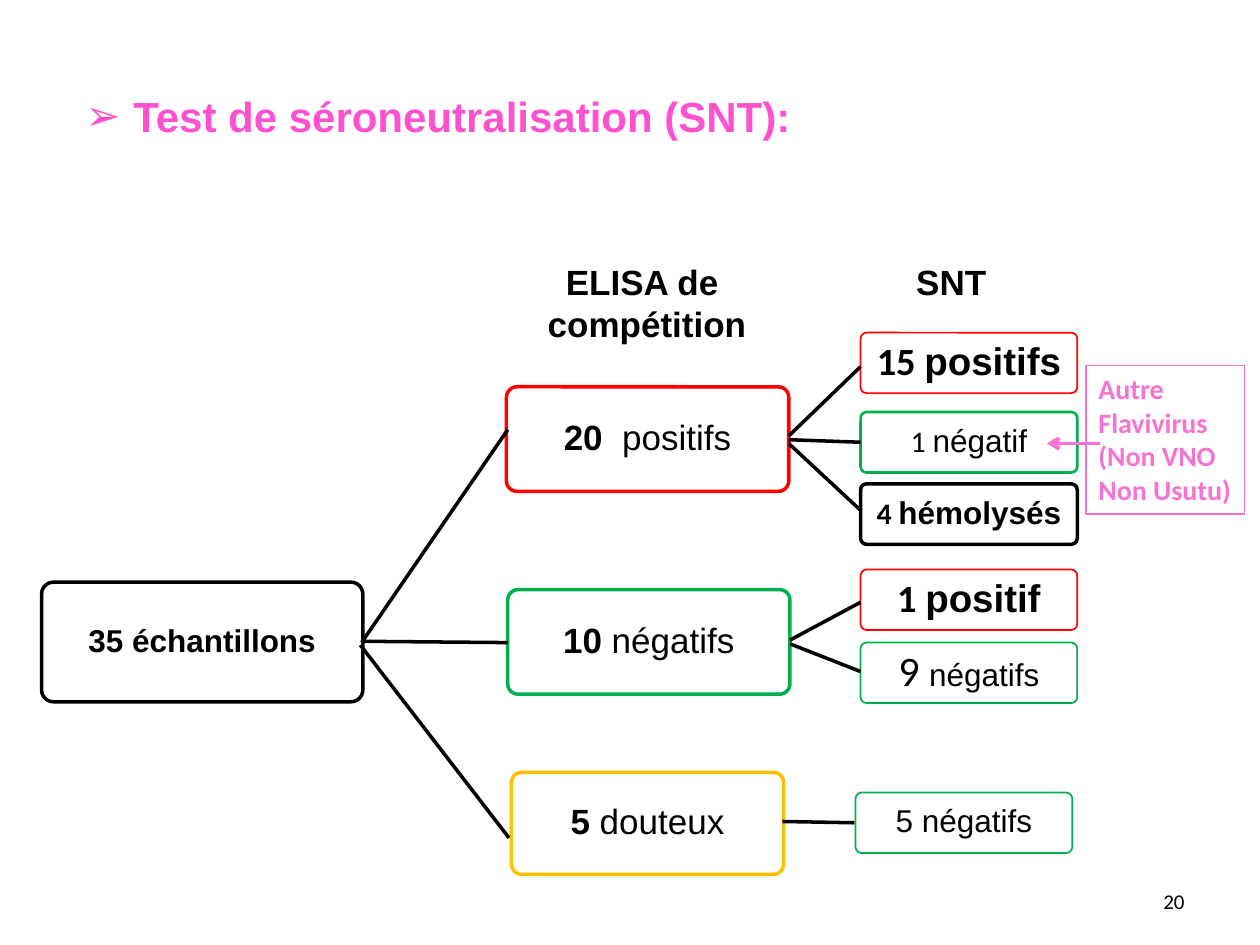
from lxml import etree
from pptx import Presentation
from pptx import util as u
from pptx.dml import color
from pptx.enum import shapes, text
from pptx.oxml import ns

HUES = {"ink": "000000", "paper": "FFFFFF", "red": "FF0000", "green": "00B050",
        "gold": "FFC000", "title": "FD51D0", "pink": "F872D2"}
MID, LEFT, RIGHT = text.PP_ALIGN.CENTER, text.PP_ALIGN.LEFT, text.PP_ALIGN.RIGHT


class Deck:
    """Draws the styled elements of the current slide."""

    def __init__(self):
        self.prs = Presentation()
        self.prs.slide_width, self.prs.slide_height = u.Inches(10), u.Inches(7.5)
        self.slide = self.prs.slides.add_slide(self.prs.slide_layouts[6])

    def hue(self, name):
        return color.RGBColor.from_string(HUES[name])

    def words(self, frame, lines, align=MID, hue="ink", after=0, lead=None):
        for i, runs in enumerate(lines):
            para = frame.add_paragraph() if i else frame.paragraphs[0]
            para.alignment, para.space_after = align, u.Pt(after)
            if lead:
                para.line_spacing = lead
            for part, size, bold, face in runs:
                run = para.add_run()
                run.text = part
                font = run.font
                font.size, font.bold, font.name = u.Pt(size), bold, face
                font.color.rgb = self.hue(hue)

    def label(self, spot, lines, wrap=True, anchor=text.MSO_ANCHOR.TOP, **style):
        box = self.slide.shapes.add_textbox(*map(u.Inches, spot))
        frame = box.text_frame
        frame.word_wrap, frame.vertical_anchor = wrap, anchor
        self.words(frame, lines, **style)
        return frame

    def bullet(self, para, mark, indent):
        props = para._p.get_or_add_pPr()
        props.set("marL", str(u.Inches(indent)))
        props.set("indent", str(-u.Inches(indent)))
        etree.SubElement(props, ns.qn("a:buFont")).set("typeface", "Arial")
        etree.SubElement(props, ns.qn("a:buChar")).set("char", mark)

    def box(self, kind, spot, hue, width, fill=None):
        box = self.slide.shapes.add_shape(kind, *map(u.Inches, spot))
        box.shadow.inherit = False
        if fill:
            box.fill.solid()
            box.fill.fore_color.rgb = self.hue(fill)
        else:
            box.fill.background()
        box.line.color.rgb, box.line.width = self.hue(hue), u.Pt(width)
        box.text_frame.word_wrap = True
        return box

    def node(self, spot, hue, width, runs, pad=0.03, after=8, fill=None):
        box = self.box(shapes.MSO_SHAPE.ROUNDED_RECTANGLE, spot, hue, width, fill)
        box.adjustments[0] = 0.1
        frame = box.text_frame
        frame.margin_left = frame.margin_right = u.Inches(pad)
        frame.margin_top = frame.margin_bottom = u.Inches(pad)
        frame.vertical_anchor = text.MSO_ANCHOR.MIDDLE
        self.words(frame, [runs], after=after, lead=0.9)

    def note(self, spot, hue, lines):
        box = self.box(shapes.MSO_SHAPE.RECTANGLE, spot, hue, 0.75)
        box.text_frame.vertical_anchor = text.MSO_ANCHOR.TOP
        self.words(box.text_frame, lines, align=LEFT, hue=hue)

    def link(self, ends, hue="ink", width=2, head=False):
        line = self.slide.shapes.add_connector(
            shapes.MSO_CONNECTOR.STRAIGHT, *map(u.Inches, ends))
        line.line.color.rgb, line.line.width = self.hue(hue), u.Pt(width)
        if head:
            tail = etree.SubElement(line.line._get_or_add_ln(), ns.qn("a:tailEnd"))
            tail.set("type", "arrow")
        etree.SubElement(line._element.spPr, ns.qn("a:effectLst"))


def main():
    deck = Deck()
    title = deck.label((0.58, 0.67, 5.96, 0.5),
                       [[("Test de séroneutralisation (SNT):", 24, True, "Arial")]],
                       wrap=False, align=LEFT, hue="title", after=6)
    deck.bullet(title.paragraphs[0], "➢", 0.38)

    deck.node((0.33, 4.62, 2.55, 0.95), "ink", 2,
              [("35 échantillons", 18, True, "Arial")], pad=0.04, fill="paper")
    groups = [((4.02, 3.07, 2.24, 0.83), "red", "20", "  positifs"),
              ((4.03, 4.68, 2.24, 0.83), "green", "10", " négatifs"),
              ((4.06, 6.13, 2.16, 0.81), "gold", "5", " douteux")]
    for spot, hue, count, word in groups:
        deck.node(spot, hue, 2, [(count, 20, True, "Arial"), (word, 20, False, "Arial")])

    tests = [
        (6.83, 2.64, "red", 1, 9, [("15 ", 22, True, "Calibri"), ("positifs", 22, True, "Arial")]),
        (6.83, 3.27, "green", 1.5, 8, [("1 ", 17, False, "Calibri"), ("négatif", 18, False, "Arial")]),
        (6.83, 3.84, "ink", 2, 8, [("4 ", 17, True, "Calibri"), ("hémolysés", 18, True, "Arial")]),
        (6.83, 4.52, "red", 1, 9, [("1 ", 22, True, "Calibri"), ("positif", 22, True, "Arial")]),
        (6.83, 5.1, "green", 1, 10, [("9 ", 24, False, "Calibri"), ("négatifs", 18, False, "Arial")]),
        (6.79, 6.29, "green", 1, 8, [("5 négatifs", 18, False, "Arial")])]
    for left, top, hue, width, after, runs in tests:
        deck.node((left, top, 1.72, 0.48), hue, width, runs, after=after)

    links = [(2.87, 5.1, 4.03, 3.41), (2.89, 5.09, 4.03, 5.1), (2.86, 5.12, 4.04, 6.65),
             (6.26, 3.46, 6.83, 2.91), (6.26, 3.49, 6.83, 3.51), (6.26, 3.52, 6.83, 4.05),
             (6.27, 5.08, 6.83, 4.78), (6.27, 5.11, 6.83, 5.33), (6.21, 6.52, 6.78, 6.53)]
    for ends in links:
        deck.link(ends)

    deck.label((3.84, 2.02, 2.59, 0.77),
               [[(line, 20, True, "Arial")] for line in ("ELISA de ", "compétition")])
    deck.note((8.62, 2.9, 1.26, 1.18), "pink",
              [[(line, 16, True, "Calibri")]
               for line in ("Autre", "Flavivirus", "(Non VNO", "Non Usutu)")])
    deck.link((8.73, 3.52, 8.31, 3.52), "pink", 2.25, head=True)
    deck.label((7, 2.02, 1.1, 0.44), [[("SNT", 20, True, "Arial")]])
    deck.label((7.17, 6.95, 2.33, 0.4), [[("20", 12, False, "Calibri")]],
               anchor=text.MSO_ANCHOR.MIDDLE, align=RIGHT)
    deck.prs.save("out.pptx")


if __name__ == "__main__":
    main()
